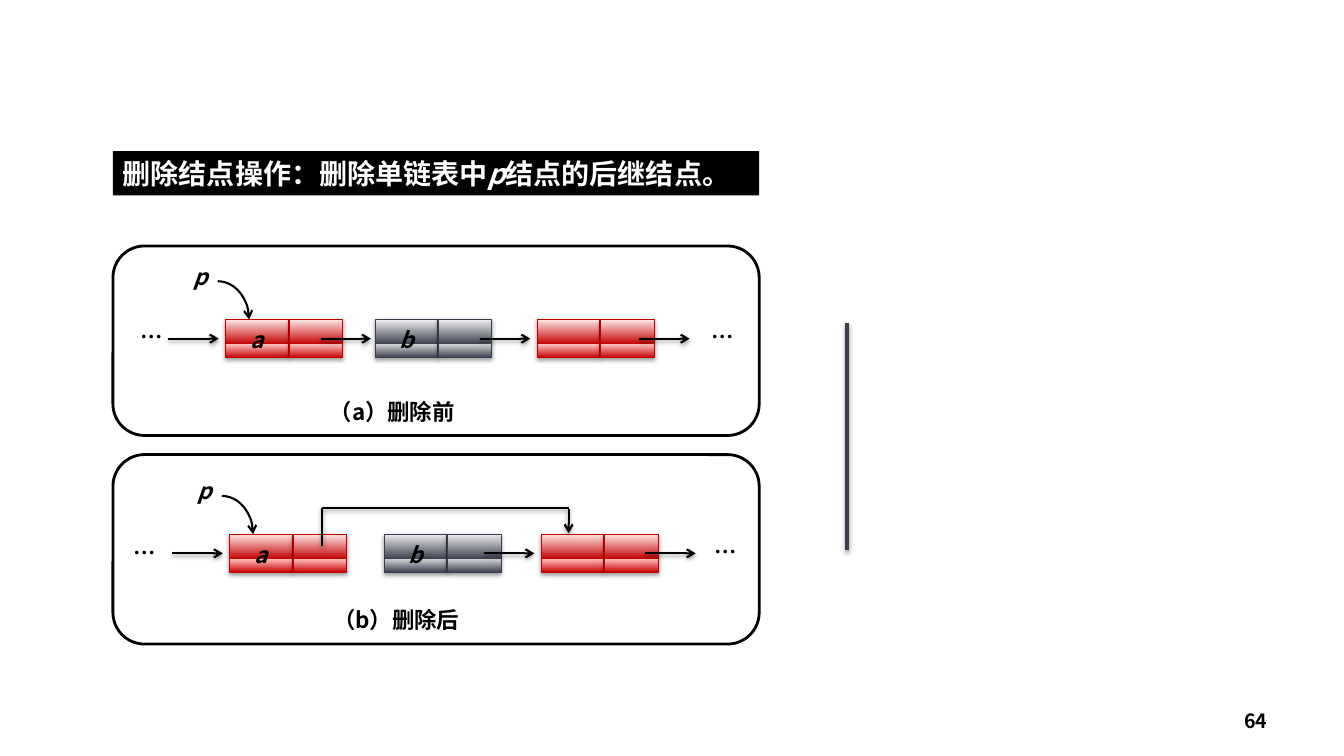
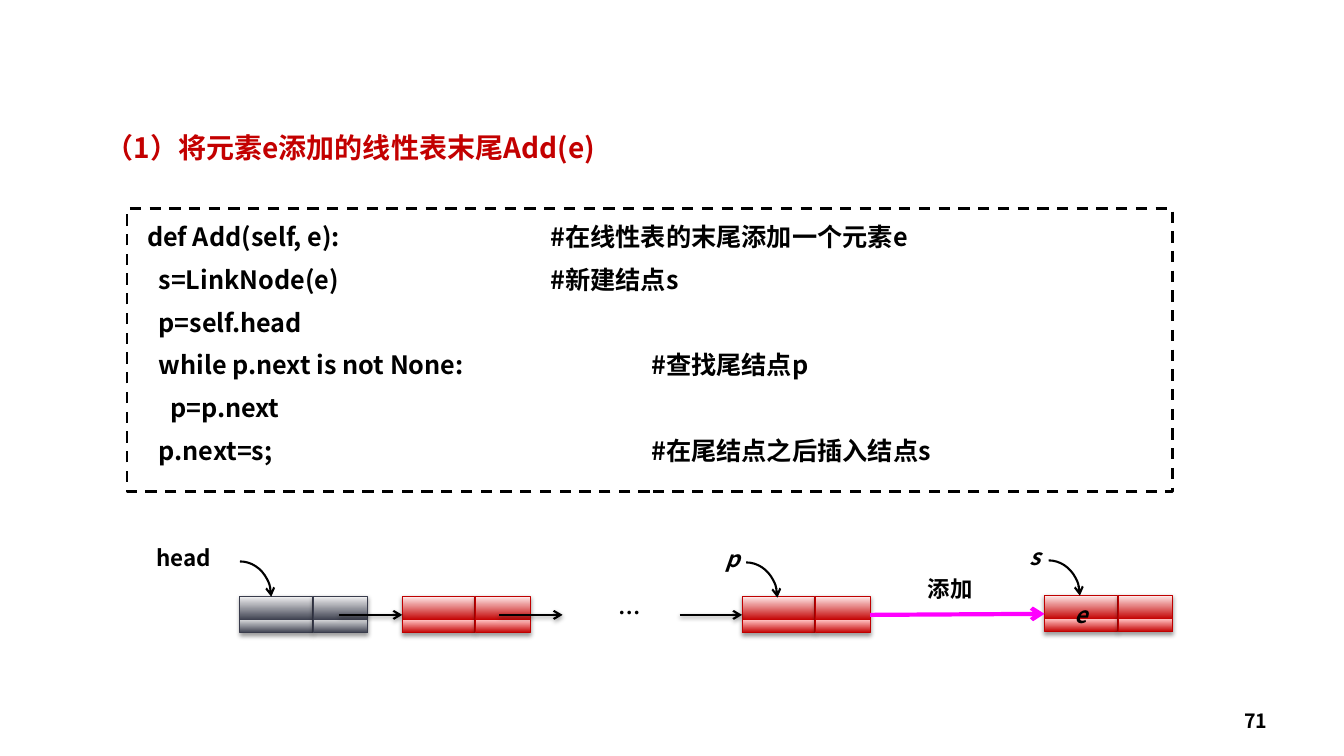
from dataclasses import dataclass

from lxml.etree import SubElement
from pptx import Presentation
from pptx.dml.color import RGBColor
from pptx.enum.dml import MSO_LINE
from pptx.enum.shapes import MSO_CONNECTOR, MSO_SHAPE
from pptx.enum.text import MSO_ANCHOR, PP_ALIGN
from pptx.oxml.ns import qn
from pptx.util import Emu, Pt

PX = 9144  # EMU in one px: 100 px make an inch
LEFT_SIDE, RIGHT_SIDE = 1, 3


@dataclass(frozen=True)
class Theme:
    font: str = "Noto Sans CJK SC"
    black: str = "000000"
    white: str = "FFFFFF"
    red: str = "C30000"
    slate: str = "3B3E4D"
    magenta: str = "FF00FF"
    title: int = 20
    code: int = 18
    label: int = 16
    number: int = 14
    leading: float = 1.23
    # Node colours: edge, base, lower highlight, upper highlight
    red_node: tuple = ("BF0000", "C30000", "FFBDBD", "FFE6E6")
    slate_node: tuple = ("393C4C", "3B3E4D", "D1D2D5", "EEEEEF")


THEME = Theme()


def rgb(value):
    return RGBColor.from_string(value)


def set_all(target, values):
    for name, value in values.items():
        setattr(target, name, value)


class Deck:
    def __init__(self, theme):
        self.theme = theme
        self.deck = Presentation()
        set_all(self.deck, {"slide_width": Emu(1333 * PX), "slide_height": Emu(750 * PX)})
        self.page = None

    def add_page(self, number):
        self.page = self.deck.slides.add_slide(self.deck.slide_layouts[6])
        box = self.shape(956, 695, 311, 40)
        self.add_text(box, [[number]], self.theme.number, align=PP_ALIGN.RIGHT,
                      anchor=MSO_ANCHOR.MIDDLE)

    def shape(self, x, y, width, height, kind=MSO_SHAPE.RECTANGLE, fill=None, line=None, weight=2):
        box = self.page.shapes.add_shape(kind, *(Emu(n * PX) for n in (x, y, width, height)))
        box.shadow.inherit = False
        if fill:
            box.fill.solid()
            box.fill.fore_color.rgb = rgb(fill)
        else:
            box.fill.background()
        if line:
            box.line.color.rgb = rgb(line)
            box.line.width = Pt(weight)
        else:
            box.line.fill.background()
        return box

    def add_text(self, box, paras, size, color=None, align=PP_ALIGN.LEFT, anchor=MSO_ANCHOR.TOP,
                 spacing=None, before=0, inset=(10, 5, 10, 5), stops=()):
        """Each paragraph is a list of spans; a span in a tuple is italic."""
        frame = box.text_frame
        sides = ("margin_left", "margin_top", "margin_right", "margin_bottom")
        set_all(frame, {"word_wrap": True, "vertical_anchor": anchor})
        set_all(frame, {side: Emu(n * PX) for side, n in zip(sides, inset)})
        for index, spans in enumerate(paras):
            para = frame.add_paragraph() if index else frame.paragraphs[0]
            if stops and stops[index]:
                tabs = SubElement(para._p.get_or_add_pPr(), qn("a:tabLst"))
                SubElement(tabs, qn("a:tab"), pos=str(stops[index] * PX), algn="l")
            set_all(para, {"alignment": align,
                           "line_spacing": Pt(spacing or round(size * self.theme.leading, 1)),
                           "space_before": Pt(before if index else 0)})
            for item in spans:
                italic = isinstance(item, tuple)
                span = para.add_run()
                span.text = item[0] if italic else item
                set_all(span.font, {"name": self.theme.font, "size": Pt(size),
                                    "bold": True, "italic": italic})
                span.font.color.rgb = rgb(color or self.theme.black)
                SubElement(span._r.get_or_add_rPr(), qn("a:ea"), typeface=self.theme.font)

    def label(self, x, y, width, height, span):
        box = self.shape(x, y, width, height, fill=self.theme.white)
        self.add_text(box, [[span]], self.theme.label, align=PP_ALIGN.CENTER, inset=(0, 0, 0, 0))

    def add_shadow(self, properties):
        effects = properties.find(qn("a:effectLst"))
        shadow = SubElement(effects, qn("a:outerShdw"), blurRad="40000", dist="20000",
                            dir="5400000", rotWithShape="0")
        color = SubElement(shadow, qn("a:srgbClr"), val=self.theme.black)
        SubElement(color, qn("a:alpha"), val="38000")

    def cell(self, x, y, width, height, colors):
        edge, base, lower, upper = colors
        box = self.shape(x, y, width, height, line=edge, weight=0.75)
        box.fill.gradient()
        box.fill.gradient_angle = 90
        properties = box.element.spPr
        stops = properties.find(qn("a:gradFill")).find(qn("a:gsLst"))
        for stop in list(stops):
            stops.remove(stop)
        for percent, color in ((0, base), (35, lower), (35, base), (100, upper)):
            stop = SubElement(stops, qn("a:gs"), pos=str(percent * 1000))
            SubElement(stop, qn("a:srgbClr"), val=color)
        self.add_shadow(properties)
        return box

    def node(self, x, y, colors, widths, height, name=None, spacing=24):
        """A list node: a data cell and a pointer cell."""
        data = self.cell(x, y, widths[0], height, colors)
        pointer = self.cell(x + widths[0] + 1, y, widths[1], height, colors)
        if name:
            self.add_text(data, [[(name,)]], self.theme.label, align=PP_ALIGN.CENTER,
                          spacing=spacing, inset=(10, 0, 10, 0))
        return data, pointer

    def add_head(self, item):
        SubElement(item.line._get_or_add_ln(), qn("a:tailEnd"), type="arrow")

    def line(self, x1, y1, x2, y2, color=None, weight=1.5, head=True, shadow=True,
             begin=None, end=None):
        link = self.page.shapes.add_connector(
            MSO_CONNECTOR.STRAIGHT, *(Emu(n * PX) for n in (x1, y1, x2, y2)))
        link.line.color.rgb = rgb(color or self.theme.black)
        link.line.width = Pt(weight)
        SubElement(link.element.spPr, qn("a:effectLst"))
        if shadow:
            self.add_shadow(link.element.spPr)
        if head:
            self.add_head(link)
        if begin:
            link.begin_connect(begin, RIGHT_SIDE)
        if end:
            link.end_connect(end, LEFT_SIDE)

    def curve(self, x, y, width, height):
        """A quarter turn that runs right and then down."""
        arc = self.shape(x - width, y, 2 * width, 2 * height, MSO_SHAPE.ARC,
                         line=self.theme.black, weight=1.5)
        self.add_head(arc)


def draw_list_panel(deck, top, row, shift, middle, dots, arrows, caption):
    """One framed stage of the deletion; row is the top of its nodes."""
    theme = deck.theme
    for x, colors, name in ((224 + shift, theme.red_node, "a"), (middle, theme.slate_node, "b"),
                            (533 + shift, theme.red_node, None)):
        deck.node(x, row, colors, (62, 53), 38, name)
    for x, y, width, height in dots:
        deck.label(x, y, width, height, "…")
    deck.label(183 + shift, row - 57, 33, 31, ("p",))
    deck.curve(216 + shift, row - 38, 31, 38)
    for x in arrows:
        deck.line(x, row + 19, x + 50, row + 19)
    text, y = caption
    deck.label(287 + shift, y, 204, 38, text)
    deck.shape(112, top, 641, 188, MSO_SHAPE.ROUNDED_RECTANGLE, line=theme.black)


def draw_deletion(deck):
    theme = deck.theme
    deck.add_page("64")
    title = deck.shape(112, 150, 641, 44, fill=theme.black)
    deck.add_text(title, [["删除结点操作：删除单链表中", ("p",), "结点的后继结点。"]],
                  theme.title, theme.white)

    # Before and after
    draw_list_panel(deck, 244, 317, 0, 372, ((123, 320, 54, 26), (686, 320, 62, 32)),
                    (167, 318, 476, 634), ("（a）删除前", 394))
    draw_list_panel(deck, 451, 530, 4, 381, ((123, 534, 41, 32), (695, 533, 49, 37)),
                    (171, 480, 640), ("（b）删除后", 601))

    # Bypass over the removed node
    deck.line(319, 542, 319, 504, head=False)
    deck.line(319, 504, 564, 504, head=False)
    deck.line(564, 505, 564, 529)

    # Divider
    deck.line(840, 320, 840, 546, theme.slate, 3, head=False)


def draw_append(deck):
    theme = deck.theme
    deck.add_page("71")
    title = deck.shape(95, 124, 516, 44)
    deck.add_text(title, [["（1）将元素e添加的线性表末尾Add(e)"]], theme.title, theme.red)

    # Code with comments at tab stops
    listing = (
        ("def Add(self, e):\t#在线性表的末尾添加一个元素e", 400),
        ("  s=LinkNode(e)\t#新建结点s", 400),
        ("  p=self.head", None),
        ("  while p.next is not None:\t#查找尾结点p", 500),
        ("    p=p.next", None),
        ("  p.next=s;\t#在尾结点之后插入结点s", 500),
    )
    box = deck.shape(126, 207, 1037, 281, fill=theme.white, line=theme.black)
    box.line.dash_style = MSO_LINE.DASH
    deck.add_text(box, [[text] for text, _ in listing], theme.code, spacing=22, before=8.6,
                  inset=(20, 12, 10, 12), stops=[stop for _, stop in listing])

    # Linked list
    widths, height = (72, 54), 36
    deck.node(238, 592, theme.slate_node, widths, height)
    second, _ = deck.node(399, 592, theme.red_node, widths, height)
    last, last_pointer = deck.node(736, 592, theme.red_node, widths, height)
    added, _ = deck.node(1036, 591, theme.red_node, widths, height, "e", 23)
    deck.label(592, 594, 65, 29, "…")
    for x, target in ((336, second), (495, None), (674, last)):
        deck.line(x, 610, x + 63, 610, end=target)

    # Named pointers
    for x, y, width, name, start in ((126, 539, 113, "head", 238), (710, 540, 34, ("p",), 740),
                                     (1010, 538, 34, ("s",), 1040)):
        deck.label(x, y, width, 29, name)
        deck.curve(start, y + 18, 31, 35)

    # New link
    deck.line(863, 610, 1036, 609, theme.magenta, 3, shadow=False,
              begin=last_pointer, end=added)
    caption = deck.shape(889, 570, 107, 32)
    deck.add_text(caption, [["添加"]], theme.label, align=PP_ALIGN.CENTER, spacing=16)


def main():
    deck = Deck(THEME)
    draw_deletion(deck)
    draw_append(deck)
    deck.deck.save("out.pptx")


if __name__ == "__main__":
    main()
